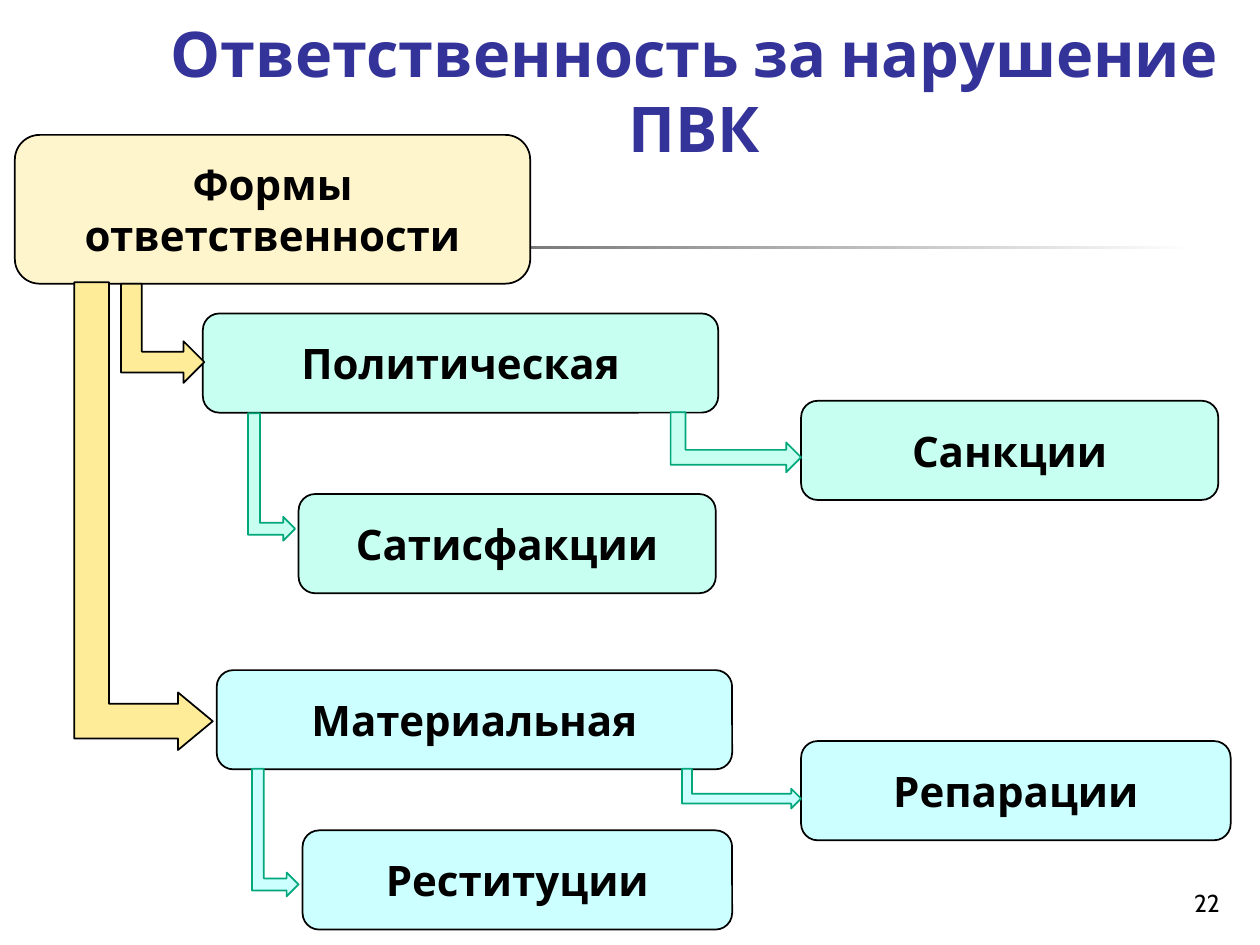
import pptx
import pptx.dml.color
import pptx.enum.shapes
import pptx.enum.text
import pptx.util

Cm = pptx.util.Cm
RGBColor = pptx.dml.color.RGBColor
Align = pptx.enum.text.PP_ALIGN
Anchor = pptx.enum.text.MSO_ANCHOR
Preset = pptx.enum.shapes.MSO_SHAPE

FONT = "Cabin"
BLACK = RGBColor(0x00, 0x00, 0x00)
WHITE = RGBColor(0xFF, 0xFF, 0xFF)
CHARCOAL = RGBColor(0x1C, 0x1C, 0x1C)
INDIGO = RGBColor(0x33, 0x33, 0x99)
CREAM = RGBColor(0xFF, 0xF5, 0xCC)
YELLOW = RGBColor(0xFF, 0xEC, 0x99)
MINT = RGBColor(0xC7, 0xFF, 0xF0)
AQUA = RGBColor(0xCC, 0xFF, 0xFF)
GREEN = RGBColor(0x00, 0xA7, 0x7A)

# text, left, top, width, height, fill
BOXES = [
    ("Формы ответственности", 0.3, 2.72, 10.39, 3, CREAM),
    ("Политическая", 4.09, 6.32, 10.39, 2, MINT),
    ("Материальная", 4.37, 13.51, 10.39, 2, AQUA),
    ("Санкции", 16.15, 8.08, 8.41, 2, MINT),
    ("Сатисфакции", 6.02, 9.96, 8.41, 2, MINT),
    ("Репарации", 16.15, 14.94, 8.66, 2, AQUA),
    ("Реституции", 6.1, 16.74, 8.66, 2, AQUA),
]

# left, top, tip x, tip y, shaft thickness, half of the head's height, fill, line
ARROWS = [
    (2.44, 5.72, 4.12, 7.3, 0.42, 0.42, YELLOW, BLACK),
    (1.5, 5.69, 4.29, 14.54, 0.7, 0.58, YELLOW, BLACK),
    (5, 8.33, 5.95, 10.66, 0.24, 0.24, MINT, GREEN),
    (5.08, 15.5, 6.02, 17.83, 0.24, 0.24, AQUA, GREEN),
    (13.52, 8.31, 16.15, 9.22, 0.3, 0.3, MINT, GREEN),
    (13.75, 15.5, 16.15, 16.1, 0.2, 0.2, AQUA, GREEN),
]


def write_text(shape, text, size=24, color=BLACK, bold=True,
               align=Align.CENTER, anchor=Anchor.MIDDLE):
    frame = shape.text_frame
    frame.word_wrap = True
    frame.auto_size = pptx.enum.text.MSO_AUTO_SIZE.NONE
    frame.vertical_anchor = anchor
    para = frame.paragraphs[0]
    para.alignment = align
    span = para.add_run()
    span.text = text
    span.font.name = FONT
    span.font.size = pptx.util.Pt(size)
    span.font.bold = bold
    span.font.color.rgb = color


def paint(shape, fill, line):
    shape.shadow.inherit = False
    shape.fill.solid()
    shape.fill.fore_color.rgb = fill
    shape.line.color.rgb = line
    shape.line.width = pptx.util.Pt(1)


def add_title(page, text):
    title = page.shapes.title
    title.left, title.top = Cm(3.18), Cm(1.12)
    title.width, title.height = Cm(21.64), Cm(2.34)
    write_text(title, text, size=36, color=INDIGO, anchor=Anchor.BOTTOM)


def add_fading_rule(page):
    rule = page.shapes.add_shape(
        Preset.RECTANGLE, Cm(1.22), Cm(4.95), Cm(22.86), Cm(0.08))
    rule.shadow.inherit = False
    rule.line.fill.background()
    rule.fill.gradient()
    rule.fill.gradient_angle = 0
    for stop, color in zip(rule.fill.gradient_stops, (CHARCOAL, WHITE)):
        stop.color.rgb = color


def add_box(page, text, left, top, width, height, fill):
    box = page.shapes.add_shape(
        Preset.ROUNDED_RECTANGLE, Cm(left), Cm(top), Cm(width), Cm(height))
    paint(box, fill, BLACK)
    write_text(box, text)


def add_elbow_arrow(page, left, top, tip_x, tip_y, shaft, half_head, fill, line):
    """Draw an arrow that runs down and then right; its head is as long as its shaft is thick."""
    neck = tip_x - shaft
    upper, lower = tip_y - shaft / 2, tip_y + shaft / 2
    points = [
        (left + shaft, top), (left + shaft, upper), (neck, upper),
        (neck, tip_y - half_head), (tip_x, tip_y), (neck, tip_y + half_head),
        (neck, lower), (left, lower), (left, top),
    ]
    corners = [(Cm(x), Cm(y)) for x, y in points]
    builder = page.shapes.build_freeform(*corners[0])
    builder.add_line_segments(corners[1:], close=True)
    paint(builder.convert_to_shape(), fill, line)


def add_page_number(page, text):
    box = page.shapes.add_textbox(Cm(19.56), Cm(17.35), Cm(5.28), Cm(1.27))
    write_text(box, text, size=14, bold=False,
               align=Align.RIGHT, anchor=Anchor.BOTTOM)


def main():
    deck = pptx.Presentation()
    deck.slide_width, deck.slide_height = Cm(25.4), Cm(19.05)
    page = deck.slides.add_slide(deck.slide_layouts[5])
    add_fading_rule(page)
    add_title(page, "Ответственность за нарушение ПВК")
    for box in BOXES:
        add_box(page, *box)
    for arrow in ARROWS:
        add_elbow_arrow(page, *arrow)
    add_page_number(page, "22")
    deck.save("out.pptx")


if __name__ == "__main__":
    main()
